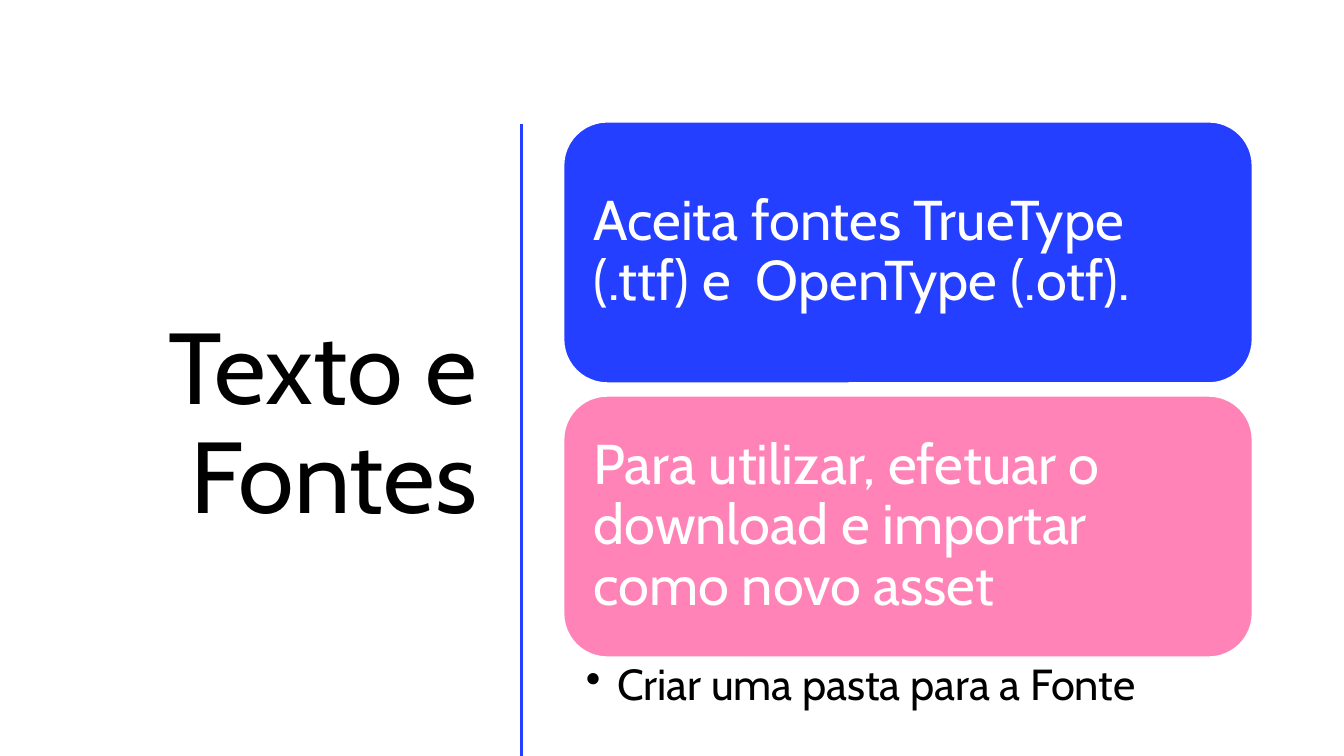
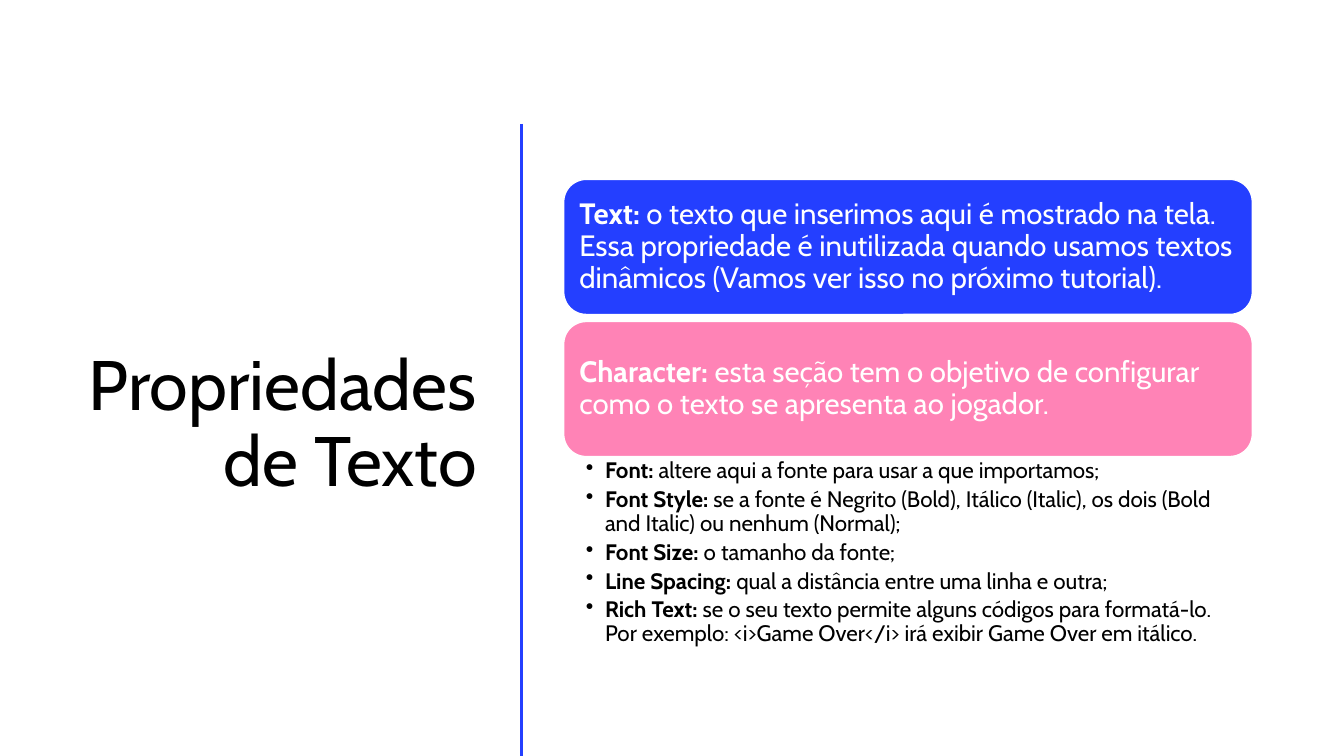
import pptx
import pptx.util
import pptx.dml.color
import pptx.enum.shapes
import pptx.enum.text
import lxml.etree

Pt = pptx.util.Pt
Inches = pptx.util.Inches
RGBColor = pptx.dml.color.RGBColor
Align = pptx.enum.text.PP_ALIGN
Anchor = pptx.enum.text.MSO_ANCHOR
Shape = pptx.enum.shapes.MSO_SHAPE

WIDE, HIGH = 13.33, 7.5
BLUE = RGBColor(0x24, 0x3F, 0xFF)
PINK = RGBColor(0xFF, 0x83, 0xB6)
WHITE = RGBColor(0xFF, 0xFF, 0xFF)
BLACK = RGBColor(0, 0, 0)
FONT = "Cabin"
LEFT, SPAN = 41.94, 51.24
RULE = 38.78
NS = "http://schemas.openxmlformats.org/drawingml/2006/main"


def across(share):
    return Inches(WIDE * share / 100)


def down(share):
    return Inches(HIGH * share / 100)


def area(left, top, width, height):
    return across(left), down(top), across(width), down(height)


def style(run, size, color, bold=False):
    run.font.name = FONT
    run.font.size = Pt(size)
    run.font.color.rgb = color
    run.font.bold = bold


def write(para, label, text, size, color):
    para.alignment = Align.LEFT
    para.line_spacing = 0.9
    if label:
        run = para.add_run()
        run.text = label
        style(run, size, color, True)
        text = " " + text
    run = para.add_run()
    run.text = text
    style(run, size, color)


def inset(frame, left, top, right):
    frame.word_wrap = True
    frame.margin_left = Inches(left)
    frame.margin_right = Inches(right)
    frame.margin_top = frame.margin_bottom = Inches(top)


def head(slide, text, size):
    title = slide.shapes.title
    title.left, title.top, title.width, title.height = area(3.9, 15.6, 32.33, 81.47)
    frame = title.text_frame
    frame.text = text
    frame.word_wrap = True
    frame.auto_size = pptx.enum.text.MSO_AUTO_SIZE.NONE
    frame.vertical_anchor = Anchor.MIDDLE
    para = frame.paragraphs[0]
    para.alignment = Align.RIGHT
    para.line_spacing = 0.9
    style(para.runs[0], size, BLACK)


def rule(slide):
    line = slide.shapes.add_connector(
        pptx.enum.shapes.MSO_CONNECTOR.STRAIGHT,
        across(RULE), down(16.4), across(RULE), down(100))
    line.line.color.rgb = BLUE
    line.line.width = Pt(2)
    lxml.etree.SubElement(line._element.spPr, f"{{{NS}}}effectLst")


def card(slide, top, height, fill, item, size, pad):
    box = slide.shapes.add_shape(
        Shape.ROUNDED_RECTANGLE, *area(LEFT, top, SPAN, height))
    box.shadow.inherit = False
    box.fill.solid()
    box.fill.fore_color.rgb = fill
    box.line.color.rgb = WHITE
    box.line.width = Pt(1)
    frame = box.text_frame
    inset(frame, pad, pad, pad)
    frame.vertical_anchor = Anchor.MIDDLE
    write(frame.paragraphs[0], *item, size, WHITE)


def bullets(slide, top, height, items, size, pads, indent):
    box = slide.shapes.add_textbox(*area(LEFT, top, SPAN, height))
    frame = box.text_frame
    inset(frame, *pads)
    for i, item in enumerate(items):
        para = frame.add_paragraph() if i else frame.paragraphs[0]
        para.level = 1
        props = para._p.get_or_add_pPr()
        props.set("marL", str(Inches(indent)))
        props.set("indent", str(-Inches(indent)))
        lxml.etree.SubElement(props, f"{{{NS}}}buChar", char="•")
        para.space_after = Pt(size * 0.2)
        write(para, *item, size, BLACK)


def page(deck, title, size, cards, top, height, gap, text, pad):
    slide = deck.slides.add_slide(deck.slide_layouts[5])
    head(slide, title, size)
    rule(slide)
    for i, (fill, item) in enumerate(zip((BLUE, PINK), cards)):
        card(slide, top + i * (height + gap), height, fill, item, text, pad)
    return slide, top + 2 * height + gap


def main():
    deck = pptx.Presentation()
    deck.slide_width, deck.slide_height = Inches(WIDE), Inches(HIGH)

    slide, base = page(
        deck, "Texto e Fontes", 72,
        [("", "Aceita fontes TrueType (.ttf) e  OpenType (.otf)."),
         ("", "Para utilizar, efetuar o download e importar como novo asset")],
        16.13, 34.53, 1.73, 40, 0.17)
    bullets(slide, base, 9.6, [("", "Criar uma pasta para a Fonte")],
            31, (0.22, 0.06, 0.31), 0.31)

    slide, base = page(
        deck, "Propriedades de Texto", 50,
        [("Text:", "o texto que inserimos aqui é mostrado na tela. Essa "
          "propriedade é inutilizada quando usamos textos dinâmicos "
          "(Vamos ver isso no próximo tutorial)."),
         ("Character:", "esta seção tem o objetivo de configurar como o "
          "texto se apresenta ao jogador.")],
        23.73, 17.87, 0.93, 21, 0.09)
    bullets(slide, base, 28.53, [
        ("Font:", "altere aqui a fonte para usar a que importamos;"),
        ("Font Style:", "se a fonte é Negrito (Bold), Itálico (Italic), "
         "os dois (Bold and Italic) ou nenhum (Normal);"),
        ("Font Size:", "o tamanho da fonte;"),
        ("Line Spacing:", "qual a distância entre uma linha e outra;"),
        ("Rich Text:", "se o seu texto permite alguns códigos para "
         "formatá-lo. Por exemplo: <i>Game Over</i> irá exibir Game Over "
         "em itálico."),
    ], 16, (0.22, 0.03, 0.16), 0.19)

    deck.save("out.pptx")


if __name__ == "__main__":
    main()
